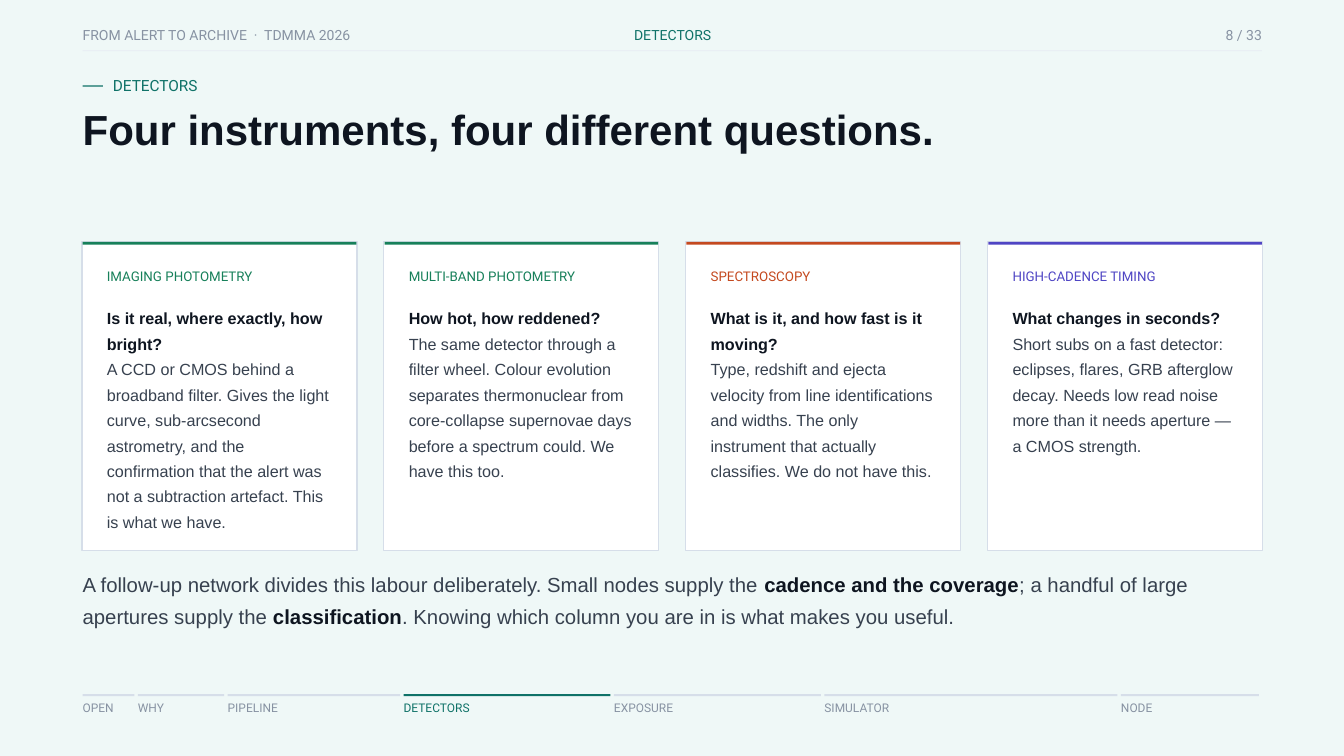
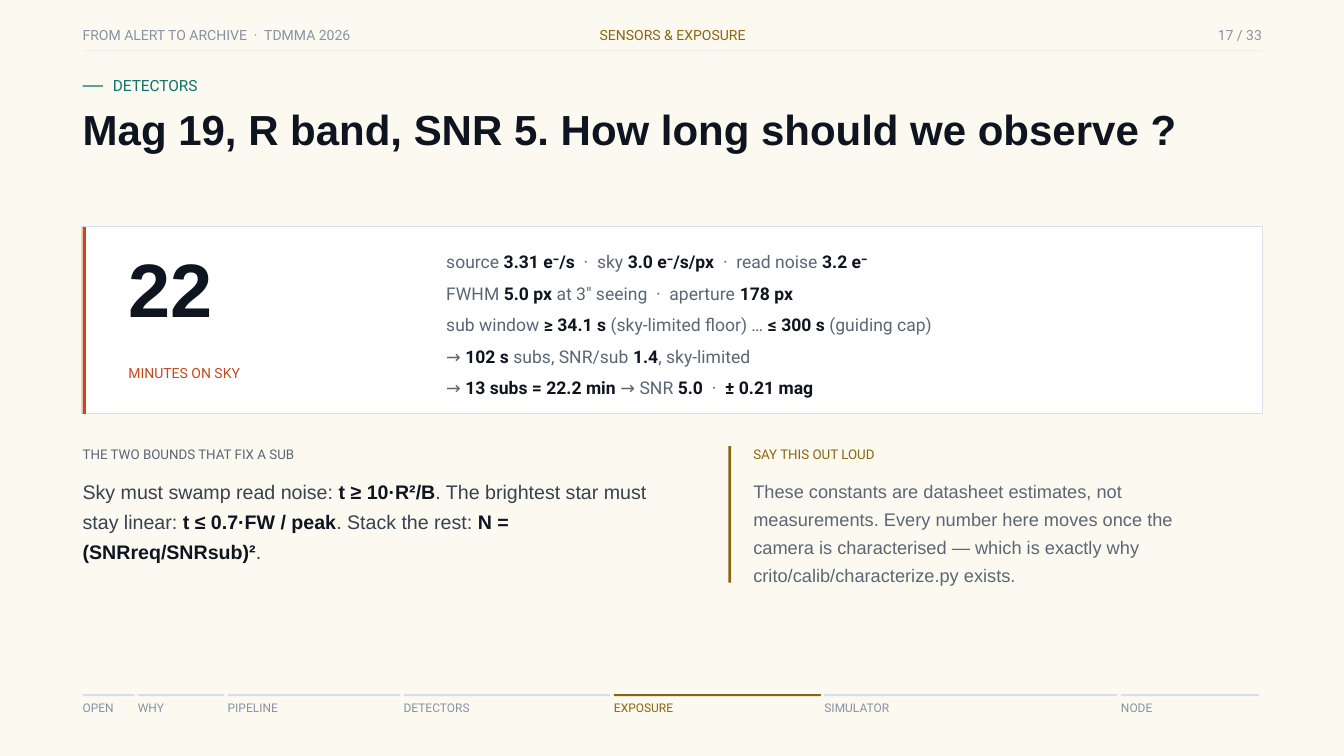
from itertools import accumulate

from pptx import Presentation
from pptx.dml.color import RGBColor
from pptx.enum.shapes import MSO_SHAPE as Preset
from pptx.enum.text import MSO_ANCHOR as Anchor, MSO_AUTO_SIZE as AutoSize, PP_ALIGN as Align
from pptx.util import Inches, Pt

# Content: text between ** marks is bold
RUNNING_HEAD = "FROM ALERT TO ARCHIVE  ·  TDMMA 2026"
PAGE_COUNT = 33
SECTIONS = [("OPEN", 3), ("WHY", 5), ("PIPELINE", 10), ("DETECTORS", 12),
            ("EXPOSURE", 12), ("SIMULATOR", 17), ("NODE", 8)]

INSTRUMENTS = dict(
    number=8, back="mint", accent="teal", head="DETECTORS", section="DETECTORS",
    kicker="DETECTORS", title="Four instruments, four different questions.",
    title_size=(14.39, 1.69))
CARDS = [
    ("IMAGING PHOTOMETRY", "green", "Is it real, where exactly, how bright?",
     "A CCD or CMOS behind a broadband filter. Gives the light curve, sub-arcsecond "
     "astrometry, and the confirmation that the alert was not a subtraction artefact. "
     "This is what we have."),
    ("MULTI-BAND PHOTOMETRY", "green", "How hot, how reddened?",
     "The same detector through a filter wheel. Colour evolution separates thermonuclear "
     "from core-collapse supernovae days before a spectrum could. We have this too."),
    ("SPECTROSCOPY", "rust", "What is it, and how fast is it moving?",
     "Type, redshift and ejecta velocity from line identifications and widths. The only "
     "instrument that actually classifies. We do not have this."),
    ("HIGH-CADENCE TIMING", "violet", "What changes in seconds?",
     "Short subs on a fast detector: eclipses, flares, GRB afterglow decay. Needs low read "
     "noise more than it needs aperture — a CMOS strength."),
]
CONCLUSION = ("A follow-up network divides this labour deliberately. Small nodes supply the "
              "**cadence and the coverage**; a handful of large apertures supply the "
              "**classification**. Knowing which column you are in is what makes you useful.")

EXPOSURE = dict(
    number=17, back="cream", accent="ochre", head="SENSORS & EXPOSURE", section="EXPOSURE",
    kicker="DETECTORS", title="Mag 19, R band, SNR 5. How long should we observe ?",
    title_size=(16.87, 0.79))
RESULT = ("22", "MINUTES ON SKY")
WORKING = [
    "source **3.31 e⁻/s**  ·  sky **3.0 e⁻/s/px**  ·  read noise **3.2 e⁻**",
    "FWHM **5.0 px** at 3″ seeing  ·  aperture **178 px**",
    "sub window **≥ 34.1 s** (sky-limited floor) … **≤ 300 s** (guiding cap)",
    "→ **102 s** subs, SNR/sub **1.4**, sky-limited",
    "→ **13 subs = 22.2 min** → SNR **5.0**  ·  **± 0.21 mag**",
]
BOUNDS = ("THE TWO BOUNDS THAT FIX A SUB",
          "Sky must swamp read noise: **t ≥ 10·R²/B**. The brightest star must stay linear: "
          "**t ≤ 0.7·FW / peak**. Stack the rest: **N = (SNRreq/SNRsub)²**.")
CAVEAT = ("SAY THIS OUT LOUD",
          "These constants are datasheet estimates, not measurements. Every number here moves "
          "once the camera is characterised — which is exactly why "
          "crito/calib/characterize.py exists.")

# Shared look
COLORS = dict(mint="EFF8F7", cream="FCF9F0", white="FFFFFF", ink="0E1520", body="37414F",
              slate="5B6675", muted="8792A2", rule="E6EBF3", border="D6DEE9", teal="0F7268",
              ochre="8A650F", green="17805A", rust="C4491F", violet="4F45C4")
# Text styles: font, size, line spacing, colour
STYLES = dict(
    head=("Roboto", 15, 23.1, "muted"), nav=("Roboto", 12.8, 19.6, "muted"),
    kicker=("Roboto", 16.5, 25.4, "teal"), title=("Arial", 45, 55.1, "ink"),
    label=("Roboto", 14.3, 21.9, "slate"), card=("Arial", 17.3, 27.3, "body"),
    conclusion=("Arial", 21.8, 33.4, "body"), figure=("Arial", 81.1, 89.5, "ink"),
    working=("Roboto", 18.8, 33.8, "slate"), bounds=("Arial", 21, 32.3, "body"),
    caveat=("Arial", 19.5, 30, "slate"))

# Grid, in inches
SLIDE_W, SLIDE_H = 20, 11.25
LEFT, WIDTH = 1.23, 17.55
RIGHT = LEFT + WIDTH
EDGE = 0.01                      # panels reach just past the margins
NAV_TOP, NAV_UNIT, NAV_GAP = 10.33, 0.2565, 0.053
CARD_TOP, CARD_H, CARD_GAP, CARD_PAD = 3.6, 4.59, 0.4, 0.37
PANEL_TOP, PANEL_H = 3.37, 2.79


def color(name):
    return RGBColor.from_string(COLORS[name])


def write(shape, lines, style, tint=None, align=Align.LEFT):
    """Fill a shape's text frame with one paragraph per line."""
    font, size, spacing, default = STYLES[style]
    frame = shape.text_frame
    frame.word_wrap, frame.auto_size = True, AutoSize.NONE
    frame.vertical_anchor = Anchor.TOP
    frame.margin_left = frame.margin_right = frame.margin_top = frame.margin_bottom = 0
    for index, line in enumerate(lines):
        para = frame.add_paragraph() if index else frame.paragraphs[0]
        para.alignment, para.line_spacing = align, Pt(spacing)
        para.space_before = para.space_after = Pt(0)
        for part, words in enumerate(line.split("**")):
            if not words:
                continue
            strong = part % 2 == 1
            span = para.add_run()
            span.text = words
            span.font.name, span.font.size, span.font.bold = font, Pt(size), strong
            span.font.color.rgb = color("ink" if strong else tint or default)


def add_text(page, lines, style, left, top, width, height, **options):
    box = page.shapes.add_textbox(*map(Inches, (left, top, width, height)))
    write(box, lines, style, **options)


def add_bar(page, fill, left, top, width, height, line=None):
    bar = page.shapes.add_shape(Preset.RECTANGLE, *map(Inches, (left, top, width, height)))
    bar.shadow.inherit = False
    bar.fill.solid()
    bar.fill.fore_color.rgb = color(fill)
    if line:
        bar.line.color.rgb, bar.line.width = color(line), Pt(1.13)
    else:
        bar.line.fill.background()


def add_page(deck, info):
    """Add a slide with its running head, section bar, kicker and title."""
    page = deck.slides.add_slide(deck.slide_layouts[5])
    page.background.fill.solid()
    page.background.fill.fore_color.rgb = color(info["back"])

    # Running head
    add_text(page, [RUNNING_HEAD], "head", LEFT, 0.32, 6.3, 0.43)
    add_text(page, [info["head"]], "head", 7.54, 0.32, 4.94, 0.43,
             tint=info["accent"], align=Align.CENTER)
    add_text(page, [f"{info['number']} / {PAGE_COUNT}"], "head", RIGHT - 3, 0.32, 3, 0.43,
             align=Align.RIGHT)
    add_bar(page, "rule", LEFT, 0.75, WIDTH, 0.01)

    # Section bar, each part as wide as its share of the talk
    starts = accumulate((share * NAV_UNIT + NAV_GAP for _, share in SECTIONS), initial=LEFT)
    for (name, share), left in zip(SECTIONS, starts):
        current = name == info["section"]
        width = share * NAV_UNIT
        add_bar(page, info["accent"] if current else "border", left, NAV_TOP, width, 0.03)
        add_text(page, [name], "nav", left, NAV_TOP + 0.03, width, 0.36,
                 tint=info["accent"] if current else None)

    # Kicker and title
    add_bar(page, "teal", LEFT, 1.27, 0.3, 0.02)
    add_text(page, [info["kicker"]], "kicker", LEFT + 0.45, 1.06, 9.01, 0.46)
    title = page.shapes.title
    title.left, title.top = Inches(LEFT), Inches(1.53)
    title.width, title.height = map(Inches, info["title_size"])
    write(title, [f"**{info['title']}**"], "title")
    return page


def build_instruments(deck):
    page = add_page(deck, INSTRUMENTS)
    span_width = WIDTH + 2 * EDGE
    card_width = (span_width - CARD_GAP * (len(CARDS) - 1)) / len(CARDS)
    for column, (label, accent, question, answer) in enumerate(CARDS):
        left = LEFT - EDGE + column * (card_width + CARD_GAP)
        inner = left + CARD_PAD
        inner_width = card_width - 2 * CARD_PAD
        add_bar(page, "white", left, CARD_TOP, card_width, CARD_H, line="border")
        add_bar(page, accent, left + EDGE, CARD_TOP, card_width - 2 * EDGE, 0.04)
        add_text(page, [label], "label", inner, CARD_TOP + 0.33, inner_width, 0.51, tint=accent)
        add_text(page, [f"**{question}**", answer], "card",
                 inner, CARD_TOP + 0.9, inner_width, 3.32)
    add_text(page, [CONCLUSION], "conclusion", LEFT, 8.42, 17.26, 1.31)


def build_exposure(deck):
    page = add_page(deck, EXPOSURE)

    # Result panel
    figure, unit = RESULT
    add_bar(page, "white", LEFT - EDGE, PANEL_TOP, WIDTH + 2 * EDGE, PANEL_H, line="border")
    add_bar(page, "rust", LEFT, PANEL_TOP + EDGE, 0.05, PANEL_H - EDGE)
    add_text(page, [f"**{figure}**"], "figure", 1.91, 3.7, 3.9, 1.48)
    add_text(page, [unit], "head", 1.91, 5.36, 4.5, 0.52, tint="rust")
    add_text(page, WORKING, "working", 6.64, 3.58, 11.55, 2.4)

    # Bounds and caveat
    add_text(page, BOUNDS[:1], "label", LEFT, 6.57, 8.11, 0.51)
    add_text(page, BOUNDS[1:], "bounds", LEFT, 7.04, 8.41, 1.9)
    add_bar(page, "ochre", 10.84, 6.64, 0.04, 2.03)
    add_text(page, CAVEAT[:1], "label", 11.21, 6.57, 7.2, 0.51, tint="ochre")
    add_text(page, CAVEAT[1:], "caveat", 11.21, 7.06, 7.2, 1.87)


def main():
    deck = Presentation()
    deck.slide_width, deck.slide_height = Inches(SLIDE_W), Inches(SLIDE_H)
    build_instruments(deck)
    build_exposure(deck)
    deck.save("out.pptx")


if __name__ == "__main__":
    main()
